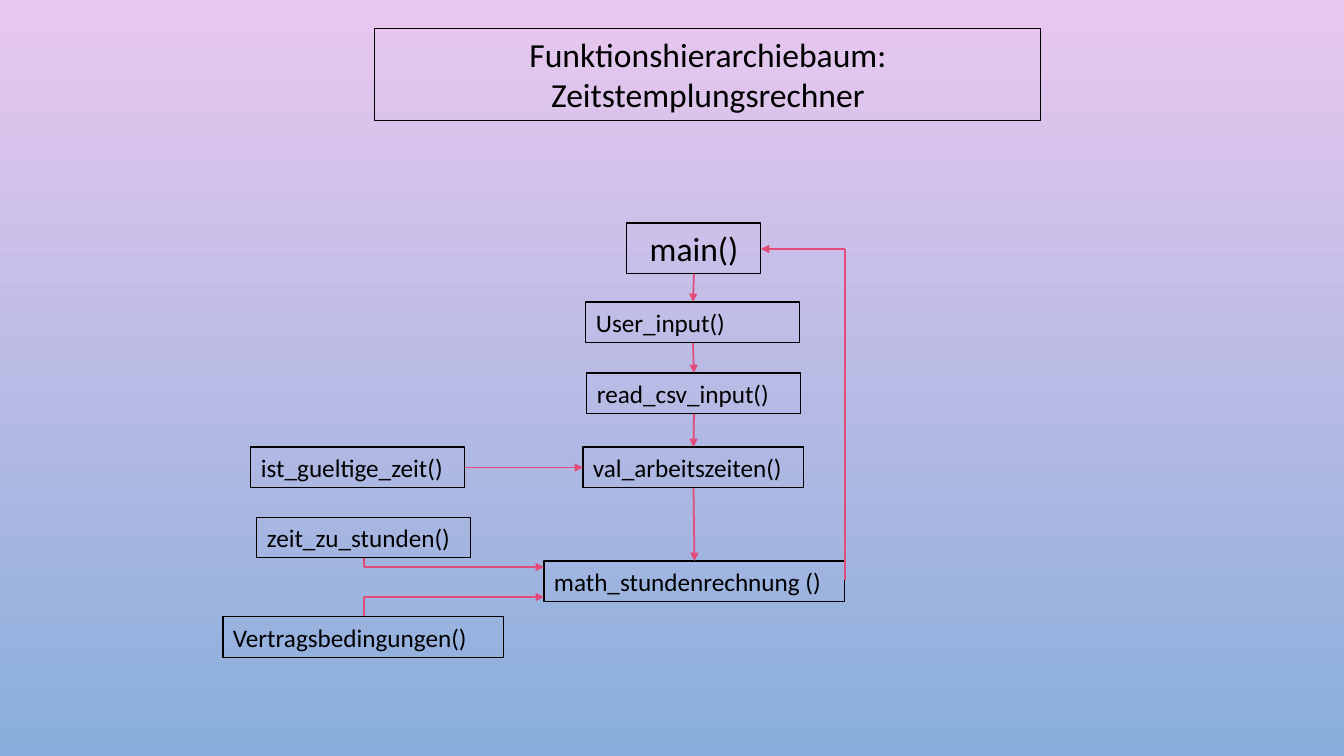
import itertools

import pptx
import pptx.dml.color
import pptx.enum.shapes
import pptx.enum.text
import pptx.oxml
import pptx.oxml.ns
import pptx.util

EMU_PER_PX = 914400 / 100.8
FONT = "Calibri"
COLORS = {"sky_top": "E9C8EF", "sky_bottom": "89AEDB", "ink": "000000", "arrow": "E34B7A"}
TOP, LEFT, BOTTOM, RIGHT = range(4)


def px(length):
    return pptx.util.Emu(round(length * EMU_PER_PX))


def rgb(name):
    return pptx.dml.color.RGBColor.from_string(COLORS[name])


def paint_background(slide):
    fill = slide.background.fill
    fill.gradient()
    fill.gradient_angle = 270
    for stop, name in zip(fill.gradient_stops, ("sky_top", "sky_bottom")):
        stop.color.rgb = rgb(name)


def add_label(slide, box, text, size=18, centered=False):
    """Outlined text box; box is left, top, width, height in px."""
    shape = slide.shapes.add_textbox(*map(px, box))
    shape.line.color.rgb = rgb("ink")
    shape.line.width = pptx.util.Pt(0.75)
    frame = shape.text_frame
    frame.word_wrap = True
    frame.auto_size = pptx.enum.text.MSO_AUTO_SIZE.SHAPE_TO_FIT_TEXT
    paragraph = frame.paragraphs[0]
    if centered:
        paragraph.alignment = pptx.enum.text.PP_ALIGN.CENTER
    run = paragraph.add_run()
    run.text = text
    run.font.name = FONT
    run.font.size = pptx.util.Pt(size)
    run.font.color.rgb = rgb("ink")
    return shape


def add_segment(slide, start=(0, 0), end=(0, 0), arrowhead=True):
    connector = slide.shapes.add_connector(
        pptx.enum.shapes.MSO_CONNECTOR.STRAIGHT, *map(px, (*start, *end)))
    connector.line.color.rgb = rgb("arrow")
    connector.line.width = pptx.util.Pt(1.25)
    properties = connector._element.spPr
    if arrowhead:
        tail = pptx.oxml.parse_xml(
            f'<a:tailEnd {pptx.oxml.ns.nsdecls("a")} type="triangle"/>')
        connector.line._get_or_add_ln().append(tail)
    properties.append(pptx.oxml.parse_xml(f'<a:effectLst {pptx.oxml.ns.nsdecls("a")}/>'))
    return connector


def join(slide, source, source_side, target, target_side):
    connector = add_segment(slide)
    connector.begin_connect(source, source_side)
    connector.end_connect(target, target_side)


def add_elbow(slide, start, end):
    """Runs vertically from start, then horizontally to an arrowhead at end."""
    corner = (start[0], end[1])
    add_segment(slide, start, corner, arrowhead=False)
    add_segment(slide, corner, end)


def add_title(slide, box):
    add_label(slide, box, "Funktionshierarchiebaum: Zeitstemplungsrechner", 24, centered=True)


def add_call_tree(slide, box):
    left, top = box[:2]

    def place(x, y, width, text, height=41, **style):
        return add_label(slide, (left + x, top + y, width, height), text, **style)

    main_call = place(404, 0, 134, "main()", height=51, size=24, centered=True)
    user_input = place(363, 79, 214, "User_input()")
    read_csv = place(364, 150, 214, "read_csv_input()")
    validate = place(360, 224, 221, "val_arbeitszeiten()")
    calculate = place(321, 338, 301, "math_stundenrechnung ()")
    valid_time = place(28, 224, 214, "ist_gueltige_zeit()")
    place(34, 294, 214, "zeit_zu_stunden()")
    place(0, 394, 281, "Vertragsbedingungen()")

    chain = (main_call, user_input, read_csv, validate, calculate)
    for caller, callee in itertools.pairwise(chain):
        join(slide, caller, BOTTOM, callee, TOP)
    join(slide, valid_time, RIGHT, validate, LEFT)

    elbows = (
        ((141, 335), (321, 344)),
        ((141, 393), (321, 374)),
        ((622, 357), (538, 26)),
    )
    for start, end in elbows:
        add_elbow(slide, (left + start[0], top + start[1]), (left + end[0], top + end[1]))


def main():
    presentation = pptx.Presentation()
    presentation.slide_width, presentation.slide_height = px(1344), px(756)
    slide = presentation.slides.add_slide(presentation.slide_layouts[6])
    paint_background(slide)
    add_title(slide, (375, 29, 666, 92))
    add_call_tree(slide, (223, 223, 622, 435))
    presentation.save("out.pptx")


if __name__ == "__main__":
    main()
